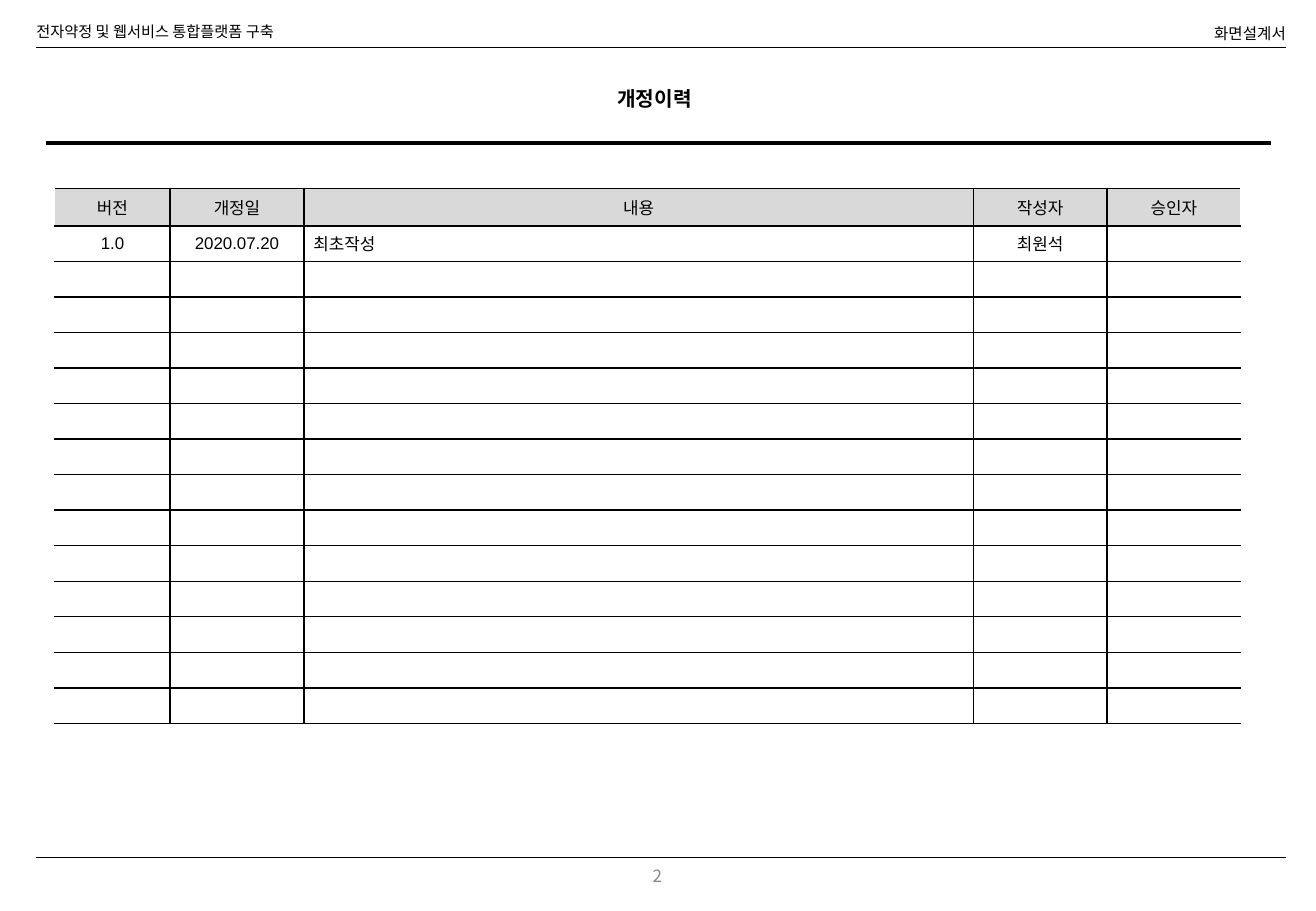
import pptx
import pptx.util
import pptx.dml.color
import pptx.enum.shapes
import pptx.enum.text
import pptx.oxml
import pptx.oxml.ns
from lxml import etree

Inches, Pt = pptx.util.Inches, pptx.util.Pt
RGB = pptx.dml.color.RGBColor.from_string
ALIGN, ANCHOR = pptx.enum.text.PP_ALIGN, pptx.enum.text.MSO_ANCHOR
qn = pptx.oxml.ns.qn

# Content
COLORS = {"ink": "000000", "paper": "FFFFFF", "header": "D9D9D9", "page": "898989"}
LATIN, KOREAN = "Arial", "Noto Sans CJK KR"

# text, (left, top, width, height), size, font, color, bold, align, anchor, wrap
TEXTS = [
    ("화면설계서", (8.4, 0.16, 2.28, 0.23), 9.2, LATIN, "ink", False, ALIGN.RIGHT, ANCHOR.MIDDLE, True),
    ("전자약정 및 웹서비스 통합플랫폼 구축", (0.2, 0.12, 3.51, 0.27), 9, LATIN, "ink", False, ALIGN.LEFT, ANCHOR.MIDDLE, True),
    ("개정이력", (5, 0.67, 0.83, 0.28), 12, KOREAN, "ink", True, ALIGN.LEFT, ANCHOR.TOP, False),
    ("2", (4.9, 7.08, 1.02, 0.29), 10, KOREAN, "page", False, ALIGN.CENTER, ANCHOR.TOP, True),
]
# left, right, y, width in points
RULES = [(0.3, 10.58, 0.39, 1), (0.3, 10.58, 7.06, 1), (0.38, 10.46, 1.18, 2.25)]

HISTORY = [
    ("버전", "개정일", "내용", "작성자", "승인자"),
    ("1.0", "2020.07.20", "최초작성", "최원석", ""),
]
BLANK_ROWS = 13
COL_WIDTHS = [0.95, 1.1, 5.51, 1.1, 1.1]
TABLE_LEFT, TABLE_TOP, TABLE_HEIGHT, HEADER_HEIGHT = 0.45, 1.55, 4.41, 0.31
DESCRIPTION_COL = 2


def format_run(r, size, font, color, bold=False):
    r.font.size, r.font.name, r.font.bold = Pt(size), font, bold
    r.font.color.rgb = RGB(COLORS[color])
    etree.SubElement(r.font._element, qn("a:ea"), typeface=KOREAN)


def set_border(cell, side, color):
    ln = etree.SubElement(cell._tc.get_or_add_tcPr(), qn("a:ln" + side), w=str(Pt(1)))
    fill = etree.SubElement(ln, qn("a:solidFill"))
    etree.SubElement(fill, qn("a:srgbClr"), val=COLORS[color])


prs = pptx.Presentation()
prs.slide_width, prs.slide_height = Inches(10.83), Inches(7.5)
s = prs.slides.add_slide(prs.slide_layouts[6])

# Horizontal rules
for left, right, y, width in RULES:
    line = s.shapes.add_connector(pptx.enum.shapes.MSO_CONNECTOR.STRAIGHT,
                                  Inches(left), Inches(y), Inches(right), Inches(y))
    line.line.color.rgb = RGB(COLORS["ink"])
    line.line.width = Pt(width)
    etree.SubElement(line._element.spPr, qn("a:effectLst"))

# Header, title and page number
for text, box, size, font, color, bold, align, anchor, wrap in TEXTS:
    tf = s.shapes.add_textbox(*map(Inches, box)).text_frame
    tf.word_wrap, tf.vertical_anchor = wrap, anchor
    if not wrap:
        tf.auto_size = pptx.enum.text.MSO_AUTO_SIZE.SHAPE_TO_FIT_TEXT
        tf.margin_left = tf.margin_right = Inches(0.08)
        tf.margin_top = tf.margin_bottom = Inches(0.04)
    p = tf.paragraphs[0]
    p.text, p.alignment = text, align
    format_run(p.runs[0], size, font, color, bold)

# Revision table
n_cols = len(COL_WIDTHS)
rows = HISTORY + [("",) * n_cols] * BLANK_ROWS
row_height = (TABLE_HEIGHT - HEADER_HEIGHT) / (len(rows) - 1)
table = s.shapes.add_table(len(rows), n_cols, Inches(TABLE_LEFT), Inches(TABLE_TOP),
                           Inches(sum(COL_WIDTHS)), Inches(TABLE_HEIGHT)).table
table.first_row = table.horz_banding = False
for col, width in zip(table.columns, COL_WIDTHS):
    col.width = Inches(width)

for i, values in enumerate(rows):
    table.rows[i].height = Inches(row_height if i else HEADER_HEIGHT)
    for j, value in enumerate(values):
        cell = table.cell(i, j)
        cell.margin_left = cell.margin_right = Inches(0.08)
        cell.margin_top = cell.margin_bottom = Inches(0.03)
        cell.vertical_anchor = ANCHOR.MIDDLE
        p = cell.text_frame.paragraphs[0]
        p.text = value
        p.alignment = ALIGN.LEFT if i and j == DESCRIPTION_COL else ALIGN.CENTER
        if value:
            format_run(p.runs[0], 10, LATIN, "ink")
        else:
            etree.SubElement(p._p, qn("a:endParaRPr"), sz="1000")
        # The outer left and right edges stay open
        set_border(cell, "L", "ink" if j else "paper")
        set_border(cell, "R", "ink" if j < n_cols - 1 else "paper")
        set_border(cell, "T", "ink")
        set_border(cell, "B", "ink")
        cell.fill.solid()
        cell.fill.fore_color.rgb = RGB(COLORS["paper" if i else "header"])

prs.save("out.pptx")
